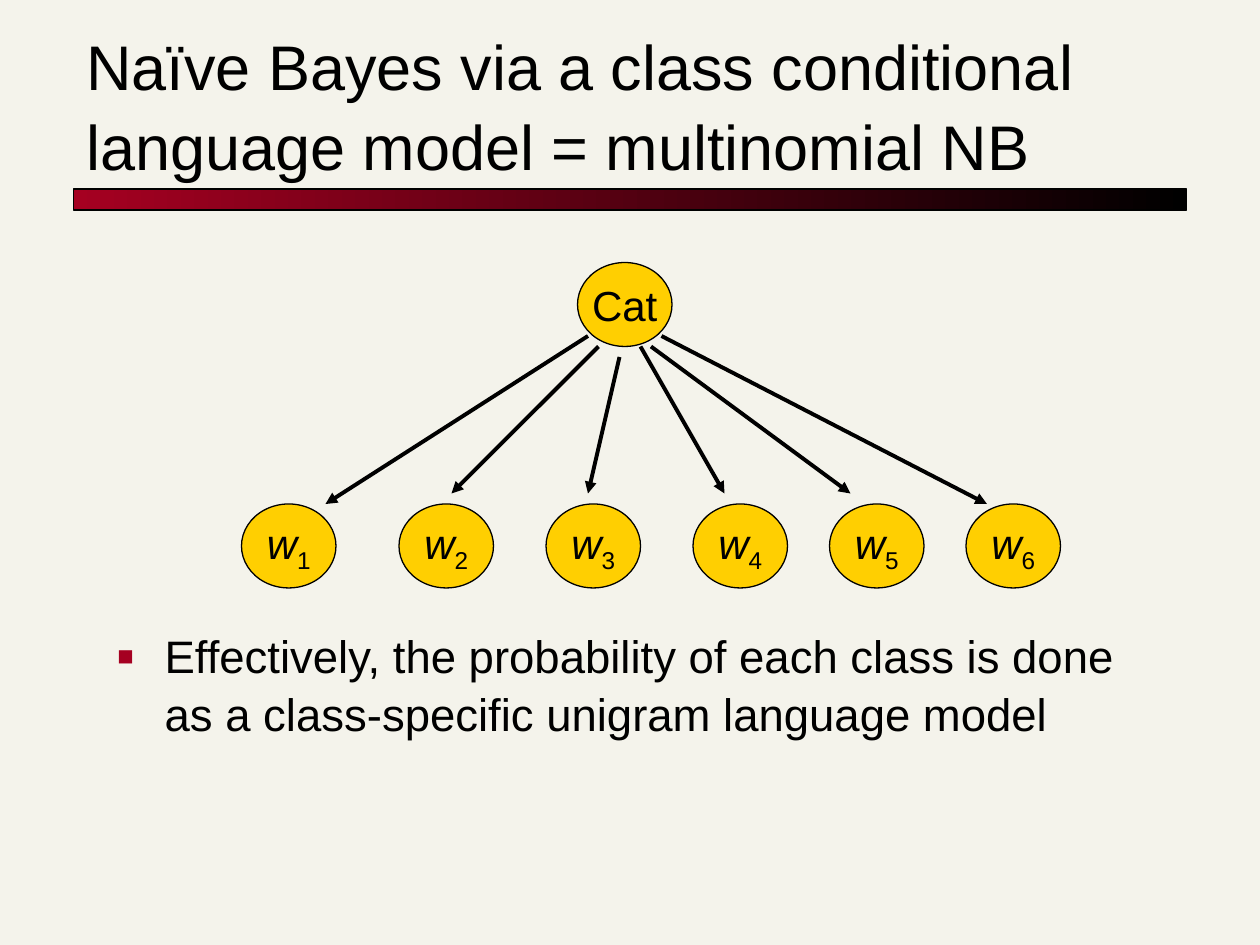
from dataclasses import dataclass

from lxml.etree import SubElement
from pptx import Presentation
from pptx.dml.color import RGBColor
from pptx.enum.shapes import MSO_CONNECTOR, MSO_SHAPE
from pptx.enum.text import MSO_ANCHOR, MSO_AUTO_SIZE, PP_ALIGN
from pptx.oxml.ns import qn
from pptx.slide import Slide
from pptx.text.text import _Paragraph as Paragraph
from pptx.text.text import _Run as Run
from pptx.util import Emu, Pt

EMU_PER_PX = 7620
FONT = "Arial"
COLORS = {
    "paper": "F4F3EB",
    "ink": "000000",
    "crimson": "A50021",
    "gold": "FFCF01",
}
NODE_WIDTH, NODE_HEIGHT = 90, 80
WORD_TOP = 480


@dataclass(frozen=True)
class Node:
    left: int
    top: int
    label: str
    subscript: str = ""


@dataclass(frozen=True)
class Arrow:
    start: tuple[int, int]
    end: tuple[int, int]


CATEGORY = Node(550, 250, "Cat")
WORDS = [
    Node(left, WORD_TOP, "w", str(number))
    for number, left in enumerate((230, 380, 520, 660, 790, 920), start=1)
]
ARROWS = [
    Arrow((560, 320), (310, 480)),
    Arrow((570, 330), (430, 470)),
    Arrow((590, 340), (560, 470)),
    Arrow((610, 330), (690, 470)),
    Arrow((620, 330), (810, 470)),
    Arrow((630, 320), (940, 480)),
]


def px(*lengths: int) -> list[Emu]:
    return [Emu(length * EMU_PER_PX) for length in lengths]


def color(name: str) -> RGBColor:
    return RGBColor.from_string(COLORS[name])


def format_run(run: Run, size: int, italic: bool = False) -> None:
    run.font.name = FONT
    run.font.size = Pt(size)
    run.font.italic = italic
    run.font.color.rgb = color("ink")


def add_title(slide: Slide, text: str) -> None:
    title = slide.shapes.title
    title.left, title.top, title.width, title.height = px(70, 50, 1060, 130)
    frame = title.text_frame
    frame.text = text
    frame.word_wrap = True
    frame.auto_size = MSO_AUTO_SIZE.NONE
    frame.vertical_anchor = MSO_ANCHOR.BOTTOM
    para = frame.paragraphs[0]
    para.alignment = PP_ALIGN.LEFT
    para.line_spacing = 1.05
    format_run(para.runs[0], 36)


def add_bar(slide: Slide) -> None:
    bar = slide.shapes.add_shape(MSO_SHAPE.RECTANGLE, *px(70, 180, 1060, 20))
    bar.shadow.inherit = False
    bar.fill.gradient()
    bar.fill.gradient_angle = 0
    for stop, name in zip(bar.fill.gradient_stops, ("crimson", "ink")):
        stop.color.rgb = color(name)
    bar.line.color.rgb = color("ink")
    bar.line.width = Pt(0.75)


def add_bullet(para: Paragraph) -> None:
    indent = px(45)[0]
    properties = para._p.get_or_add_pPr()
    properties.set("marL", str(indent))
    properties.set("indent", str(-indent))
    bullet_color = SubElement(properties, qn("a:buClr"))
    SubElement(bullet_color, qn("a:srgbClr"), val=COLORS["crimson"])
    SubElement(properties, qn("a:buSzPct"), val="60000")
    SubElement(properties, qn("a:buFont"), typeface=FONT)
    SubElement(properties, qn("a:buChar"), char="■")


def add_body(slide: Slide, text: str) -> None:
    box = slide.shapes.add_textbox(*px(100, 590, 1020, 270))
    frame = box.text_frame
    frame.text = text
    frame.word_wrap = True
    para = frame.paragraphs[0]
    para.line_spacing = 1.05
    para.space_before = Pt(6.5)
    add_bullet(para)
    format_run(para.runs[0], 26)


def add_node(slide: Slide, node: Node) -> None:
    oval = slide.shapes.add_shape(
        MSO_SHAPE.OVAL, *px(node.left, node.top, NODE_WIDTH, NODE_HEIGHT)
    )
    oval.shadow.inherit = False
    oval.fill.solid()
    oval.fill.fore_color.rgb = color("gold")
    oval.line.color.rgb = color("ink")
    oval.line.width = Pt(0.75)
    frame = oval.text_frame
    frame.text = node.label
    frame.word_wrap = False
    frame.vertical_anchor = MSO_ANCHOR.MIDDLE
    para = frame.paragraphs[0]
    para.alignment = PP_ALIGN.CENTER
    format_run(para.runs[0], 24, italic=bool(node.subscript))
    if node.subscript:
        span = para.add_run()
        span.text = node.subscript
        format_run(span, 24)
        span.font._element.set("baseline", "-25000")


def add_arrow(slide: Slide, arrow: Arrow) -> None:
    connector = slide.shapes.add_connector(
        MSO_CONNECTOR.STRAIGHT, *px(*arrow.start, *arrow.end)
    )
    connector.line.color.rgb = color("ink")
    connector.line.width = Pt(2.25)
    SubElement(connector.line._get_or_add_ln(), qn("a:tailEnd"), type="triangle")
    SubElement(connector._element.spPr, qn("a:effectLst"))


def main() -> None:
    deck = Presentation()
    deck.slide_width, deck.slide_height = px(1200, 900)
    page = deck.slides.add_slide(deck.slide_layouts.get_by_name("Title Only"))
    page.background.fill.solid()
    page.background.fill.fore_color.rgb = color("paper")
    add_bar(page)
    add_title(
        page, "Naïve Bayes via a class conditional language model = multinomial NB"
    )
    add_body(
        page,
        "Effectively, the probability of each class is done "
        "as a class-specific unigram language model",
    )
    for node in (CATEGORY, *WORDS):
        add_node(page, node)
    for arrow in ARROWS:
        add_arrow(page, arrow)
    deck.save("out.pptx")


if __name__ == "__main__":
    main()
